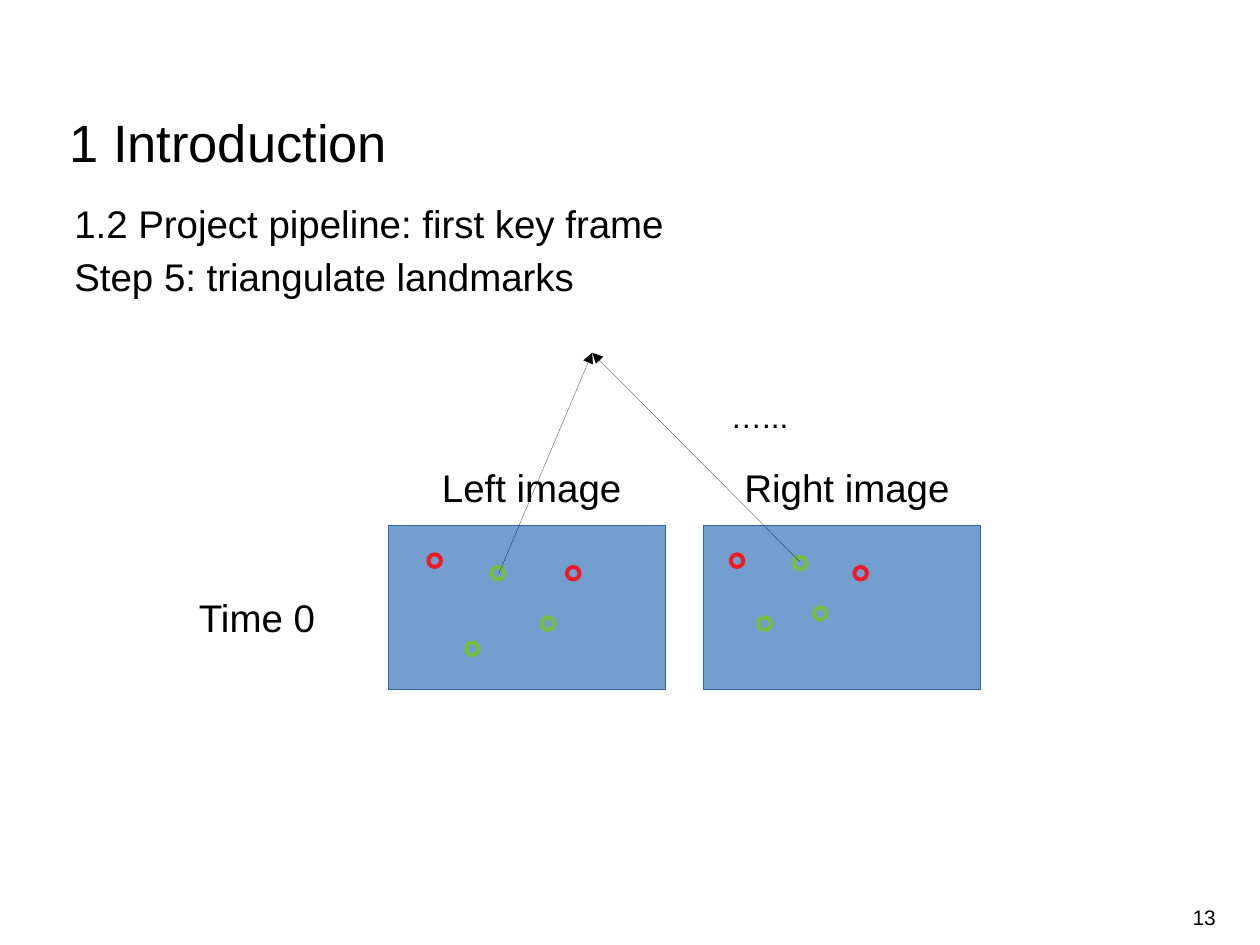
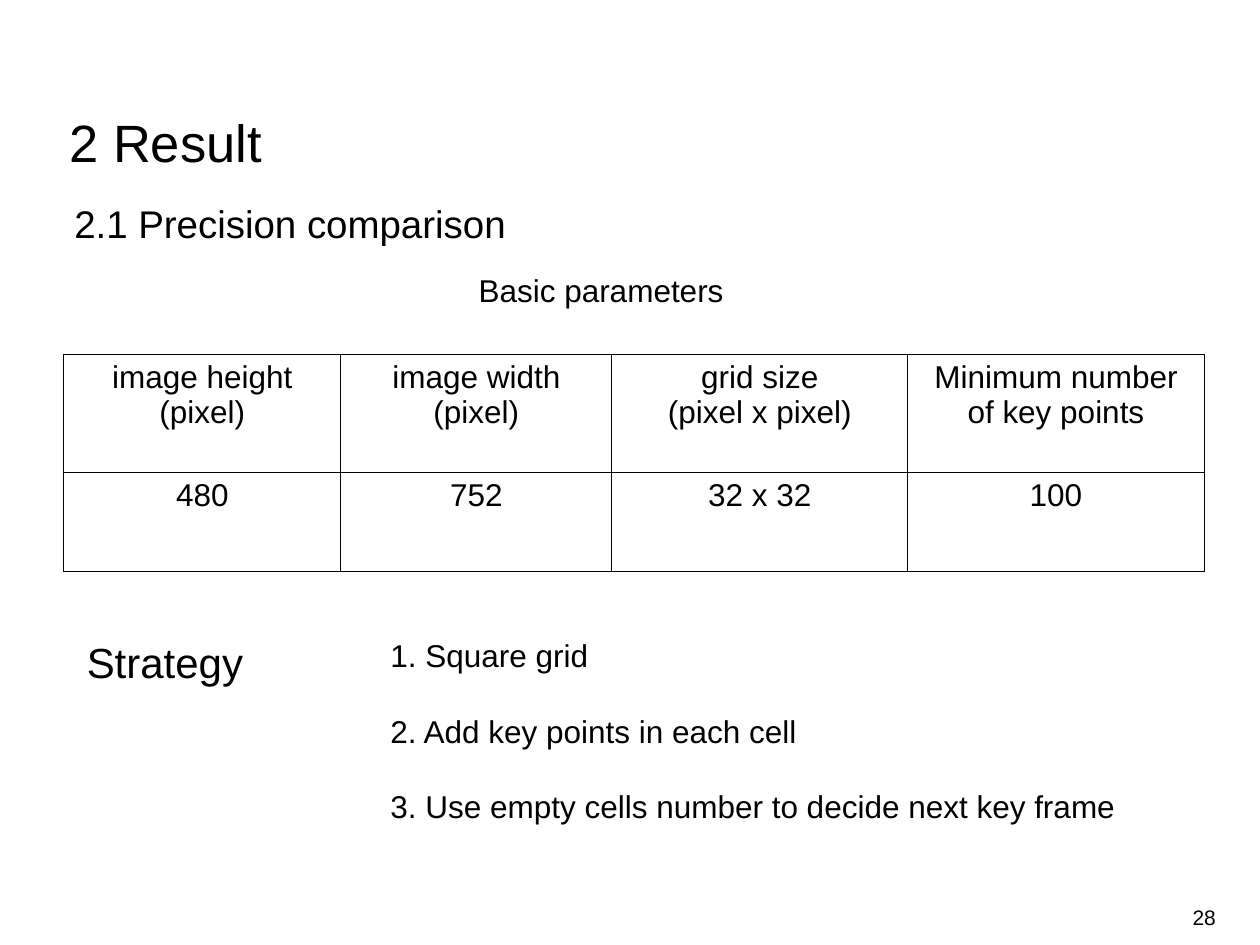
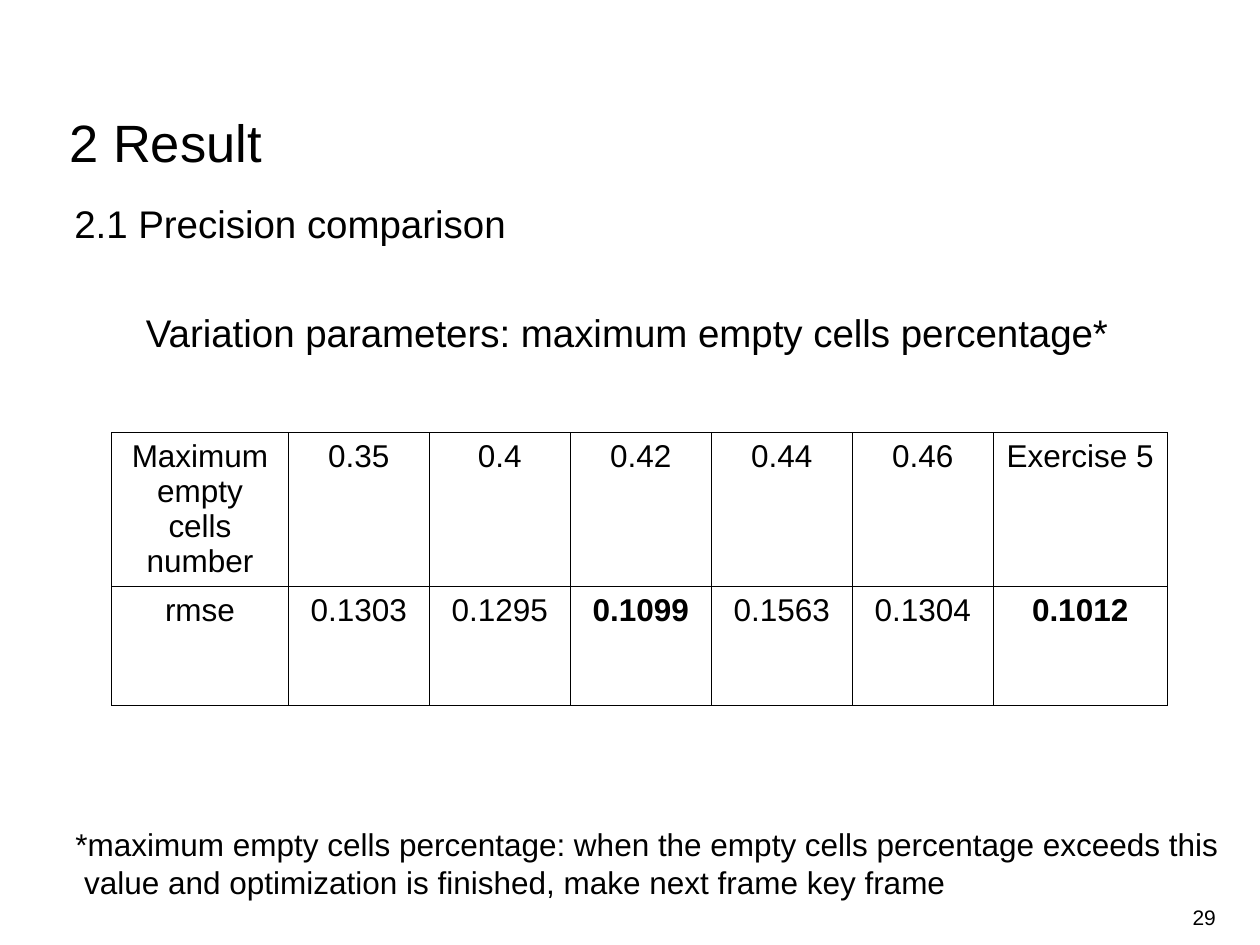
from lxml import etree
from pptx import Presentation
from pptx import util as u
from pptx.dml.color import RGBColor
from pptx.enum import shapes, text
from pptx.oxml.ns import qn

Pt = u.Pt
COLORS = {
    "ink": "000000",
    "image": "729FCF",
    "image edge": "3465A4",
    "unmatched": "ED1C24",
    "matched": "72BF44",
}
FONT = "Arial"
INSETS = (7.2, 3.6, 7.2, 3.6)
NO_INSETS = (0, 0, 0, 0)

IMAGE_SIZE = (158.4, 93.6)
IMAGE_TOP = 300.2
IMAGE_LEFTS = (221.8, 401.8)
RING_SIZE = 7.2
RINGS = {
    "unmatched": [(244.8, 316.8), (324, 324), (417.6, 316.8), (488.2, 324)],
    "matched": [(280.8, 324), (266.4, 367.2), (309.6, 352.8),
                (453.6, 318.2), (433.4, 352.8), (465.1, 347)],
}
LANDMARK = (338.4, 201.6)
RAY_STARTS = [(285.1, 327.6), (457.2, 321.1)]


def color(name):
    return RGBColor.from_string(COLORS[name])


def set_all(target, values):
    for name, value in values.items():
        setattr(target, name, value)


def write(frame, lines, size, gap=0, bold=False, **layout):
    """Fill a text frame with one paragraph per line, gap points apart."""
    for number, line in enumerate(lines):
        para = frame.add_paragraph() if number else frame.paragraphs[0]
        set_all(para, layout)
        if number:
            para.space_before = Pt(gap)
        span = para.add_run()
        span.text = line
        set_all(span.font, {"name": FONT, "size": Pt(size), "bold": bold})
        span.font.color.rgb = color("ink")


def add_text(page, place, lines, size, insets=INSETS, wrap=True,
             anchor=text.MSO_ANCHOR.TOP, **layout):
    """Add a text box; without wrap it grows to fit its lines."""
    frame = page.shapes.add_textbox(*map(Pt, place)).text_frame
    sides = ("margin_left", "margin_top", "margin_right", "margin_bottom")
    set_all(frame, dict(zip(sides, map(Pt, insets))))
    set_all(frame, {"word_wrap": wrap, "vertical_anchor": anchor})
    if not wrap:
        frame.auto_size = text.MSO_AUTO_SIZE.SHAPE_TO_FIT_TEXT
    write(frame, lines, size, **layout)
    return frame


def add_page(deck, title, subtitles, number):
    page = deck.slides.add_slide(deck.slide_layouts[6])
    add_text(page, (42.5, 110.9, 637.2, 350.6), subtitles, 22, NO_INSETS,
             line_spacing=1.14)
    add_text(page, (533.5, 509.8, 161.3, 28.8), [str(number)], 12,
             (0, 3.6, 0, 3.6), anchor=text.MSO_ANCHOR.MIDDLE,
             alignment=text.PP_ALIGN.RIGHT)
    add_text(page, (39.6, 67, 493.2, 32.4), [title], 30, NO_INSETS,
             line_spacing=Pt(32))
    return page


def set_line(line, edge, width):
    """Colour a line and write its width even when it is a hairline of 0."""
    line.color.rgb = color(edge)
    line._get_or_add_ln().set("w", str(Pt(width)))


def add_shape(page, kind, place, edge, width, fill=None):
    shape = page.shapes.add_shape(kind, *map(Pt, place))
    shape.shadow.inherit = False
    if fill:
        shape.fill.solid()
        shape.fill.fore_color.rgb = color(fill)
    else:
        shape.fill.background()
    set_line(shape.line, edge, width)


def add_arrow(page, start, end):
    arrow = page.shapes.add_connector(
        shapes.MSO_CONNECTOR.STRAIGHT, *map(Pt, start + end))
    set_line(arrow.line, "ink", 0)
    etree.SubElement(arrow.line._get_or_add_ln(), qn("a:tailEnd"),
                     type="triangle")
    etree.SubElement(arrow._element.spPr, qn("a:effectLst"))


def add_borders(cell, width):
    properties = cell._tc.get_or_add_tcPr()
    for position, side in enumerate(("lnL", "lnR", "lnT", "lnB")):
        line = etree.Element(qn(f"a:{side}"), w=str(Pt(width)))
        fill = etree.SubElement(line, qn("a:solidFill"))
        etree.SubElement(fill, qn("a:srgbClr"), val=COLORS["ink"])
        properties.insert(position, line)


def add_table(page, left, top, widths, heights, rows, bold_cells=()):
    """Draw a ruled table; each cell holds a list of lines."""
    table = page.shapes.add_table(
        len(heights), len(widths), Pt(left), Pt(top),
        Pt(sum(widths)), Pt(sum(heights))).table
    set_all(table, {"first_row": False, "horz_banding": False})
    for column, width in zip(table.columns, widths):
        column.width = Pt(width)
    for row, height in zip(table.rows, heights):
        row.height = Pt(height)
    for r, row in enumerate(rows):
        for c, lines in enumerate(row):
            cell = table.cell(r, c)
            cell.fill.background()
            add_borders(cell, 0.57)
            write(cell.text_frame, lines, 18, bold=(r, c) in bold_cells,
                  alignment=text.PP_ALIGN.CENTER, line_spacing=Pt(20.1))


def add_triangulation(deck):
    page = add_page(deck, "1 Introduction", [
        "1.2 Project pipeline: first key frame",
        "Step 5: triangulate landmarks"], 13)
    for left in IMAGE_LEFTS:
        add_shape(page, shapes.MSO_SHAPE.RECTANGLE,
                  (left, IMAGE_TOP, *IMAGE_SIZE), "image edge", 0, "image")
    for label, place in {
        "Left image": (245.5, 261.4, 118.6, 31.7),
        "Right image": (418.3, 261.4, 132.8, 31.7),
        "Time 0": (106.6, 336.2, 82, 31.7),
    }.items():
        add_text(page, place, [label], 22, wrap=False)
    for kind, corners in RINGS.items():
        for corner in corners:
            add_shape(page, shapes.MSO_SHAPE.OVAL,
                      (*corner, RING_SIZE, RING_SIZE), kind, 2.3)
    for start in RAY_STARTS:
        add_arrow(page, start, LANDMARK)
    add_text(page, (410.4, 223.2, 47.5, 27.4), ["…..."], 18, wrap=False)


def add_basic_parameters(deck):
    page = add_page(deck, "2 Result", ["2.1 Precision comparison"], 28)
    add_table(page, 36.4, 202.3, (158.4, 154.8, 169.2, 169.2), (67.4, 56.8), [
        [["image height", "(pixel)"], ["image width", "(pixel)"],
         ["grid size", "(pixel x pixel)"], ["Minimum number of key points"]],
        [["480"], ["752"], ["32 x 32"], ["100"]],
    ])
    add_text(page, (266.4, 151.2, 187.2, 33.1), ["Basic parameters"], 18)
    add_text(page, (216, 360, 446.4, 128.2), [
        "1. Square grid",
        "2. Add key points in each cell",
        "3. Use empty cells number to decide next key frame"], 18, gap=21.6)
    add_text(page, (42.5, 360, 137.5, 33.8), ["Strategy"], 24)


def add_variation_parameters(deck):
    page = add_page(deck, "2 Result", ["2.1 Precision comparison"], 29)
    limits = ["Maximum empty cells number", "0.35", "0.4", "0.42", "0.44",
              "0.46", "Exercise 5"]
    errors = ["rmse", "0.1303", "0.1295", "0.1099", "0.1563", "0.1304",
              "0.1012"]
    add_table(page, 63.9, 247.2, (100.8, *[80.6] * 5, 99.2), (87.8, 68),
              [[[value] for value in row] for row in (limits, errors)],
              bold_cells={(1, 3), (1, 6)})
    add_text(page, (76.3, 172.8, 565.9, 56.2),
             ["Variation parameters: maximum empty cells percentage*"], 22)
    footnote = add_text(page, (36, 468, 670, 47.5), [
        "*maximum empty cells percentage: when the empty cells percentage "
        "exceeds this",
        "value and optimization is finished, make next frame key frame"],
        18, wrap=False)
    footnote.paragraphs[1]._p.get_or_add_pPr().set("marL", str(Pt(5)))


def main():
    deck = Presentation()
    set_all(deck, {"slide_width": Pt(720), "slide_height": Pt(540)})
    add_triangulation(deck)
    add_basic_parameters(deck)
    add_variation_parameters(deck)
    deck.save("out.pptx")


if __name__ == "__main__":
    main()
